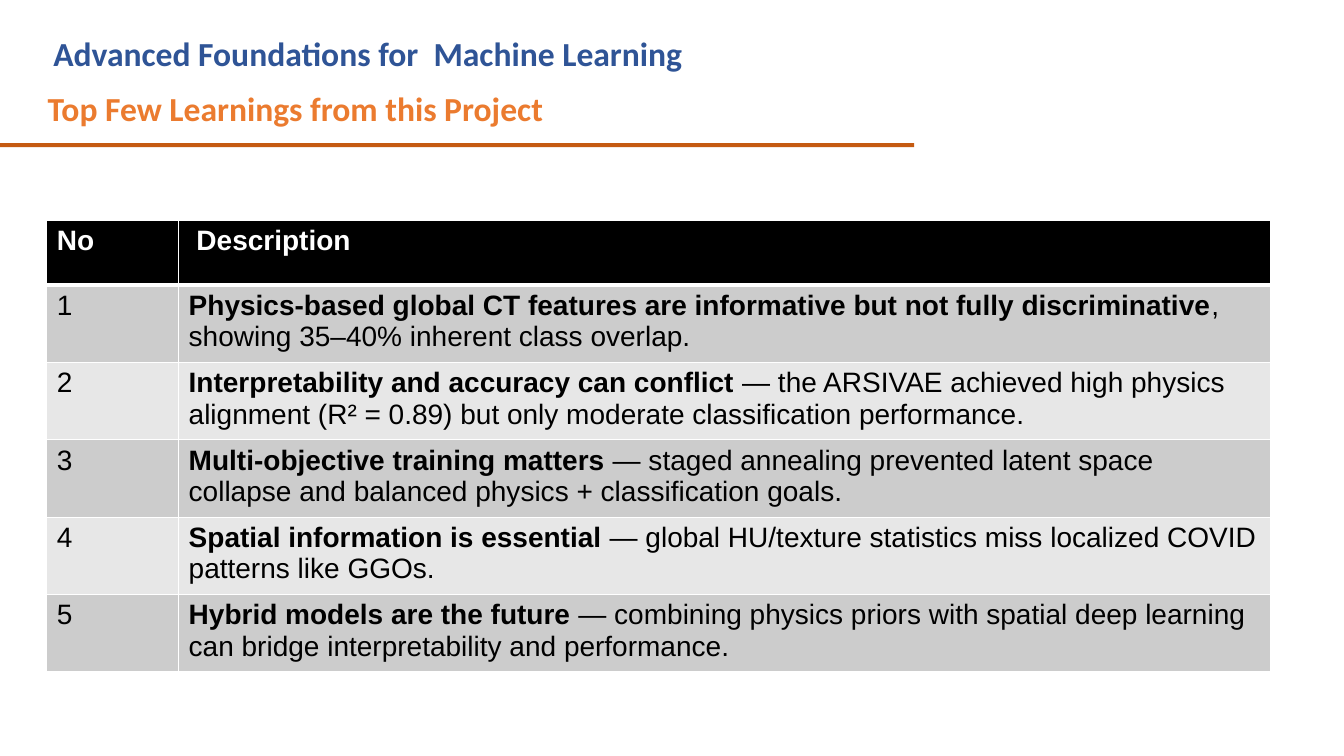
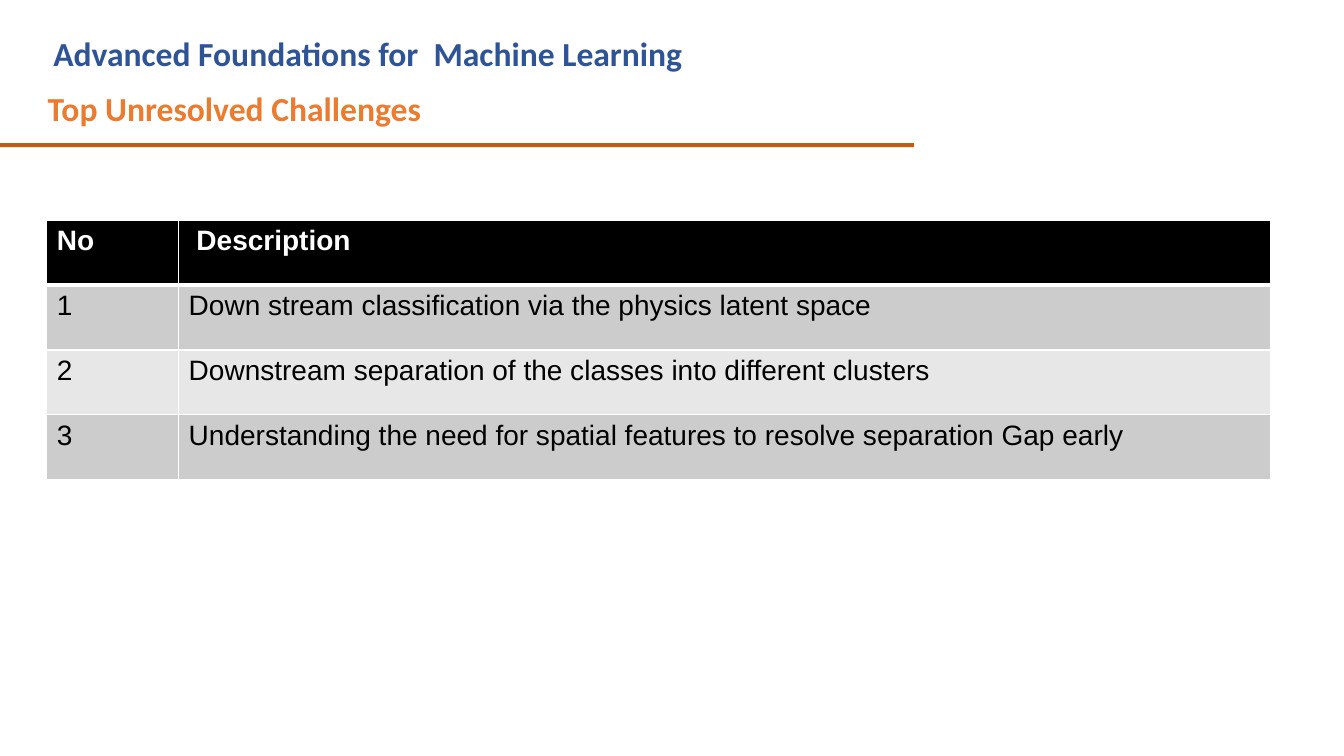
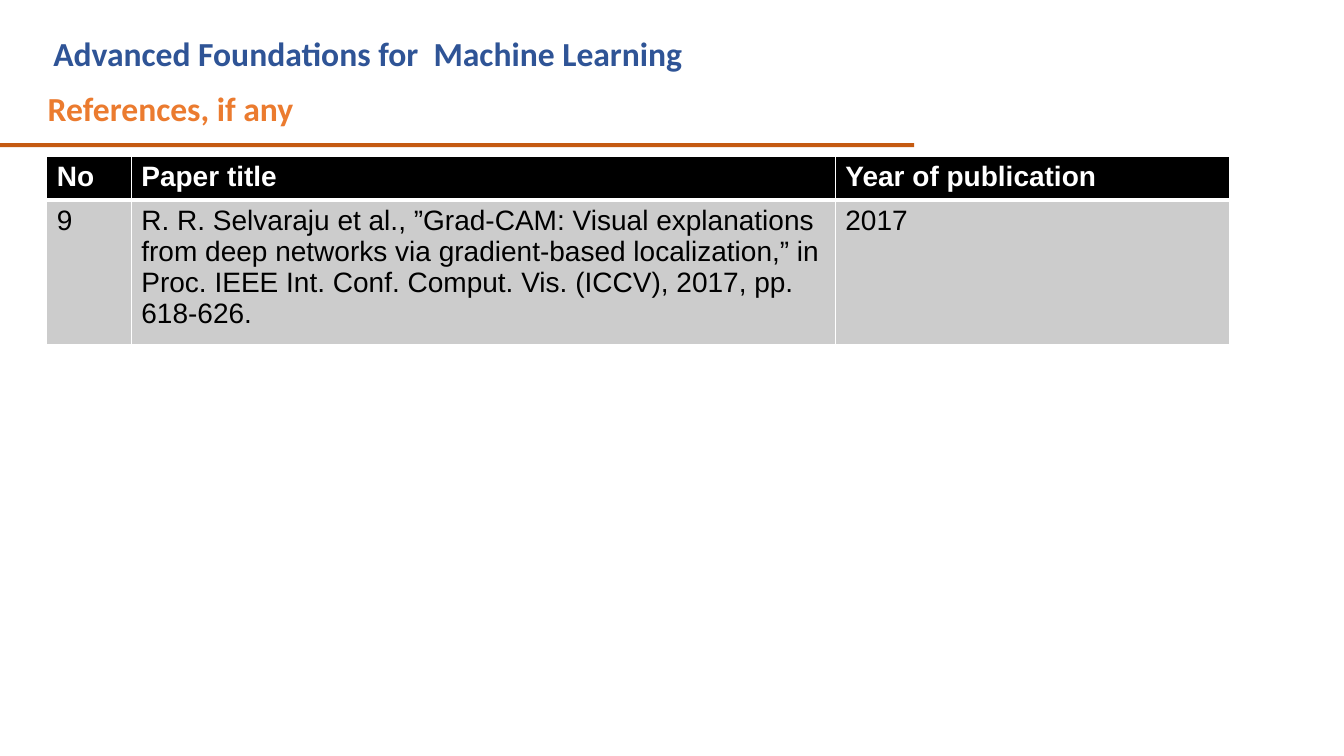
"""Build three project review slides, each with a title banner and a table."""
from dataclasses import dataclass

from lxml.etree import SubElement
from pptx import Presentation
from pptx.dml.color import RGBColor
from pptx.enum.shapes import MSO_SHAPE as Shape
from pptx.enum.text import MSO_ANCHOR as Anchor, MSO_AUTO_SIZE as AutoSize, PP_ALIGN as Align
from pptx.oxml.ns import qn
from pptx.slide import Slide
from pptx.table import _Cell as Cell
from pptx.text.text import TextFrame, _Paragraph as Paragraph
from pptx.util import Pt

COLORS = {
    "course": "2F5496",
    "title": "EB7B2F",
    "rule": "C55A11",
    "header": "000000",
    "odd": "CCCCCC",
    "even": "E7E7E7",
    "text": "000000",
    "white": "FFFFFF",
}
COURSE = "Advanced Foundations for  Machine Learning"
LEFT = 33.4
THIN, THICK = 1, 3
HEADING = {"name": "Calibri", "size": Pt(24), "bold": True}
BODY = {"name": "Arial", "size": Pt(20), "bold": False}


@dataclass
class Item:
    """A table row whose last cell may open with a bold lead."""
    cells: tuple[str, ...]
    lead: str = ""


@dataclass
class Page:
    """The content and table measures of one slide."""
    title: str
    top: float
    widths: tuple[float, ...]
    header_height: float
    row_height: float
    header: tuple[str, ...]
    items: list[Item]


def numbered(title: str, row_height: float, entries: list[tuple[str, str]]) -> Page:
    """Make a page that lists numbered descriptions."""
    items = [Item((str(n), text), lead) for n, (lead, text) in enumerate(entries, 1)]
    return Page(title, 157.2, (94.2, 780.2), 46.4, row_height, ("No", " Description"), items)


PAGES = [
    numbered("Top Few Learnings from this Project", 55.3, [
        ("Physics-based global CT features are informative but not fully discriminative",
         ", showing 35–40% inherent class overlap."),
        ("Interpretability and accuracy can conflict",
         " — the ARSIVAE achieved high physics alignment (R² = 0.89) "
         "but only moderate classification performance."),
        ("Multi-objective training matters",
         " — staged annealing prevented latent space collapse "
         "and balanced physics + classification goals."),
        ("Spatial information is essential",
         " — global HU/texture statistics miss localized COVID patterns like GGOs."),
        ("Hybrid models are the future",
         " — combining physics priors with spatial deep learning "
         "can bridge interpretability and performance."),
    ]),
    numbered("Top Unresolved Challenges", 46.4, [
        ("", "Down stream classification via the physics latent space"),
        ("", "Downstream separation of the classes into different clusters"),
        ("", "Understanding the need for spatial features to resolve separation Gap early"),
    ]),
    Page("References, if any", 111.4, (60.4, 502.9, 281.8), 31, 103.6,
         ("No", "Paper title", "Year of publication"), [
             Item(("9",
                   "R. R. Selvaraju et al., ”Grad-CAM: Visual explanations from deep networks "
                   "via gradient-based localization,” in Proc. IEEE Int. Conf. Comput. Vis. "
                   "(ICCV), 2017, pp. 618-626.",
                   "2017")),
         ]),
]


def rgb(key: str) -> RGBColor:
    """Look up a named colour."""
    return RGBColor.from_string(COLORS[key])


def add_run(p: Paragraph, text: str, color: str, fmt: dict) -> None:
    """Append a formatted run to a paragraph."""
    r = p.add_run()
    r.text = text
    for name, value in fmt.items():
        setattr(r.font, name, value)
    r.font.color.rgb = rgb(color)


def format_frame(tf: TextFrame, **margins: float) -> None:
    """Let a frame wrap its text and grow, with the given margins."""
    fmt = {"word_wrap": True, "auto_size": AutoSize.SHAPE_TO_FIT_TEXT,
           "vertical_anchor": Anchor.TOP}
    fmt.update({f"margin_{side}": Pt(value) for side, value in margins.items()})
    for name, value in fmt.items():
        setattr(tf, name, value)


def add_banner(s: Slide, title: str) -> None:
    """Draw the rule, the course name and the slide title."""
    rule = s.shapes.add_shape(Shape.RECTANGLE, 0, Pt(102.2), Pt(653), Pt(2.9))
    rule.shadow.inherit = False
    rule.fill.solid()
    rule.fill.fore_color.rgb = rgb("rule")
    rule.line.fill.background()

    course = s.shapes.add_textbox(Pt(31), Pt(20.2), Pt(590.4), Pt(36))
    format_frame(course.text_frame)
    add_run(course.text_frame.paragraphs[0], COURSE, "course", HEADING)

    sp = s.shapes.title
    box = {"left": LEFT, "top": 51.8, "width": 427.7, "height": 40.3}
    for name, value in box.items():
        setattr(sp, name, Pt(value))
    format_frame(sp.text_frame, left=0, top=0.7, right=0, bottom=0)
    p = sp.text_frame.paragraphs[0]
    p.alignment, p.line_spacing = Align.LEFT, 1.35
    pPr = p._p.get_or_add_pPr()
    pPr.set("marL", str(Pt(4.3)))
    pPr.set("indent", str(Pt(-3.6)))
    add_run(p, title, "title", HEADING)


def style_cell(cell: Cell, fill: str, top: float, bottom: float) -> None:
    """Give a cell white borders and a solid fill."""
    tcPr = cell._tc.get_or_add_tcPr()
    for side, width in {"L": THIN, "R": THIN, "T": top, "B": bottom}.items():
        ln = SubElement(tcPr, qn(f"a:ln{side}"), w=str(Pt(width)))
        line_fill = SubElement(ln, qn("a:solidFill"))
        SubElement(line_fill, qn("a:srgbClr"), val=COLORS["white"])
    cell.fill.solid()
    cell.fill.fore_color.rgb = rgb(fill)


def add_page_table(s: Slide, page: Page) -> None:
    """Draw the header and item rows of a page."""
    rows = [Item(page.header)] + page.items
    heights = [page.header_height] + [page.row_height] * len(page.items)
    table = s.shapes.add_table(len(rows), len(page.widths), Pt(LEFT), Pt(page.top),
                               Pt(sum(page.widths)), Pt(sum(heights))).table
    table.horz_banding = False
    for column, width in zip(table.columns, page.widths):
        column.width = Pt(width)
    for i, (item, height) in enumerate(zip(rows, heights)):
        table.rows[i].height = Pt(height)
        is_header = i == 0
        fill = "header" if is_header else "odd" if i % 2 else "even"
        color = "white" if is_header else "text"
        for j, text in enumerate(item.cells):
            cell = table.cell(i, j)
            style_cell(cell, fill, THICK if i == 1 else THIN, THICK if is_header else THIN)
            p = cell.text_frame.paragraphs[0]
            if item.lead and j == len(item.cells) - 1:
                add_run(p, item.lead, color, BODY | {"bold": True})
            add_run(p, text, color, BODY | {"bold": is_header})


def main() -> None:
    """Build and save the presentation."""
    prs = Presentation()
    prs.slide_width, prs.slide_height = Pt(960), Pt(540)
    for page in PAGES:
        s = prs.slides.add_slide(prs.slide_layouts[5])
        add_banner(s, page.title)
        add_page_table(s, page)
    prs.save("out.pptx")


if __name__ == "__main__":
    main()
